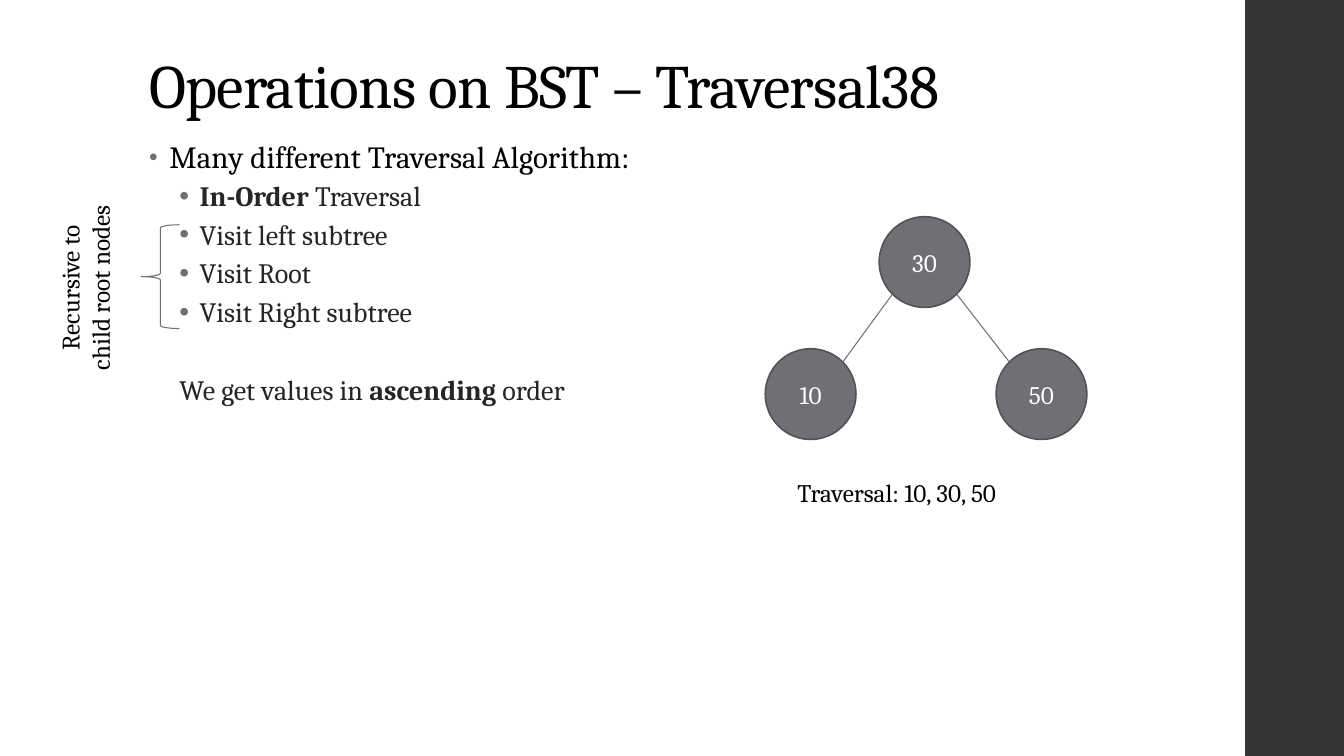
"""Builds a slide on the in-order traversal of a binary search tree."""
from dataclasses import dataclass
from math import sqrt

from lxml import etree
from pptx import Presentation
from pptx import util as u
from pptx.dml.color import RGBColor
from pptx.enum import shapes, text
from pptx.oxml.ns import qn

PX = 9144
FONT = "Cambria"
BLACK = RGBColor(0x00, 0x00, 0x00)
WHITE = RGBColor(0xFF, 0xFF, 0xFF)
INK = RGBColor(0x26, 0x26, 0x26)
GREY = RGBColor(0x6F, 0x6F, 0x74)
EDGE = RGBColor(0x52, 0x52, 0x56)
SIDEBAR = RGBColor(0x35, 0x35, 0x37)
RADIUS = 45


@dataclass(frozen=True)
class Node:
    label: str
    x: int
    y: int


@dataclass(frozen=True)
class Item:
    spans: tuple[str, ...]
    bold: int = -1
    level: int = 1
    margin: int = 50
    indent: int = -20
    before: int = 3
    after: int = 3
    size: int = 20
    spacing: float = 0.9
    color: RGBColor = INK
    tracking: int = 0
    bullet_percent: int = 100


@dataclass(frozen=True)
class Label:
    lines: str
    left: int
    top: int
    width: int
    height: int
    align: text.PP_ALIGN
    rotation: int = 0


ROOT = Node("30", 917, 260)
CHILDREN = (Node("10", 804, 391), Node("50", 1033, 391))
ITEMS = (
    Item(("Many different Traversal Algorithm:",), level=0, margin=20, before=0, after=2,
         size=22, spacing=0.95, color=BLACK, tracking=10, bullet_percent=80),
    Item(("In-Order", " Traversal"), bold=0),
    Item(("Visit left subtree",)),
    Item(("Visit Root",)),
    Item(("Visit Right subtree",)),
    Item(("We get values in ", "ascending ", "order"), bold=1, margin=30, indent=0, before=31),
)
LABELS = (
    Label("Recursive to\nchild root nodes", -21, 250, 211, 71, text.PP_ALIGN.CENTER, 270),
    Label("Traversal: 10, 30, 50", 781, 469, 259, 40, text.PP_ALIGN.LEFT),
)


def place(shape, left: int, top: int, width: int, height: int) -> None:
    shape.left, shape.top = left * PX, top * PX
    shape.width, shape.height = width * PX, height * PX


def style(span, size: int, color: RGBColor, bold: bool = False, tracking: int = 0) -> None:
    span.font.name, span.font.size = FONT, u.Pt(size)
    span.font.color.rgb, span.font.bold = color, bold
    if tracking:
        span._r.get_or_add_rPr().set("spc", str(tracking))


def add_title(page) -> None:
    box = page.shapes.title
    place(box, 138, 40, 1060, 86)
    frame = box.text_frame
    frame.text = "Operations on BST – Traversal38"
    frame.auto_size = text.MSO_AUTO_SIZE.NONE
    frame.vertical_anchor = text.MSO_ANCHOR.BOTTOM
    para = frame.paragraphs[0]
    para.alignment, para.line_spacing = text.PP_ALIGN.LEFT, 0.9
    style(para.runs[0], 44, BLACK, tracking=-50)


def set_bullet(para, item: Item) -> None:
    properties = para._p.get_or_add_pPr()
    properties.set("marL", str(item.margin * PX))
    properties.set("indent", str(item.indent * PX))
    if not item.indent:
        etree.SubElement(properties, qn("a:buNone"))
        return
    tint = etree.SubElement(properties, qn("a:buClr"))
    etree.SubElement(tint, qn("a:srgbClr"), val=str(GREY))
    etree.SubElement(properties, qn("a:buSzPct"), val=str(item.bullet_percent * 1000))
    etree.SubElement(properties, qn("a:buFont"), typeface="Arial")
    etree.SubElement(properties, qn("a:buChar"), char="•")


def add_list(page) -> None:
    box = page.placeholders[1]
    place(box, 138, 134, 643, 576)
    frame = box.text_frame
    frame.auto_size = text.MSO_AUTO_SIZE.NONE
    for index, item in enumerate(ITEMS):
        para = frame.add_paragraph() if index else frame.paragraphs[0]
        para.level, para.line_spacing = item.level, item.spacing
        para.space_before, para.space_after = u.Pt(item.before), u.Pt(item.after)
        set_bullet(para, item)
        for position, words in enumerate(item.spans):
            span = para.add_run()
            span.text = words
            style(span, item.size, item.color, position == item.bold, item.tracking)


def add_figure(page, kind, left: int, top: int, width: int, height: int,
               fill: RGBColor | None, line: RGBColor | None, weight: float = 0.75):
    shape = page.shapes.add_shape(kind, left * PX, top * PX, width * PX, height * PX)
    shape.shadow.inherit = False
    if fill is None:
        shape.fill.background()
    else:
        shape.fill.solid()
        shape.fill.fore_color.rgb = fill
    if line is None:
        shape.line.fill.background()
    else:
        shape.line.color.rgb, shape.line.width = line, u.Pt(weight)
    return shape


def add_node(page, node: Node) -> None:
    circle = add_figure(page, shapes.MSO_SHAPE.OVAL, node.x - RADIUS, node.y - RADIUS,
                        2 * RADIUS, 2 * RADIUS, GREY, EDGE, 1.1)
    frame = circle.text_frame
    frame.text = node.label
    frame.vertical_anchor = text.MSO_ANCHOR.MIDDLE
    para = frame.paragraphs[0]
    para.alignment = text.PP_ALIGN.CENTER
    style(para.runs[0], 18, WHITE)


def add_branch(page, parent: Node, child: Node) -> None:
    reach = round(RADIUS / sqrt(2))
    shift = reach if child.x > parent.x else -reach
    branch = page.shapes.add_connector(
        shapes.MSO_CONNECTOR.STRAIGHT, (parent.x + shift) * PX, (parent.y + reach) * PX,
        (child.x - shift) * PX, (child.y - reach) * PX)
    branch.line.color.rgb, branch.line.width = GREY, u.Pt(0.75)
    etree.SubElement(branch._element.spPr, qn("a:effectLst"))


def add_label(page, label: Label) -> None:
    box = page.shapes.add_textbox(label.left * PX, label.top * PX,
                                  label.width * PX, label.height * PX)
    box.rotation = label.rotation
    frame = box.text_frame
    frame.text = label.lines
    frame.word_wrap = False
    for para in frame.paragraphs:
        para.alignment = label.align
        style(para.runs[0], 18, BLACK)


def main() -> None:
    deck = Presentation()
    deck.slide_width, deck.slide_height = 1333 * PX, 750 * PX
    page = deck.slides.add_slide(deck.slide_layouts[1])
    add_title(page)
    add_list(page)
    add_figure(page, shapes.MSO_SHAPE.RECTANGLE, 1235, 0, 98, 750, SIDEBAR, None)
    add_node(page, ROOT)
    for child in CHILDREN:
        add_node(page, child)
        add_branch(page, ROOT, child)
    add_figure(page, shapes.MSO_SHAPE.LEFT_BRACE, 140, 223, 38, 103, None, GREY)
    for label in LABELS:
        add_label(page, label)
    deck.save("out.pptx")


if __name__ == "__main__":
    main()
